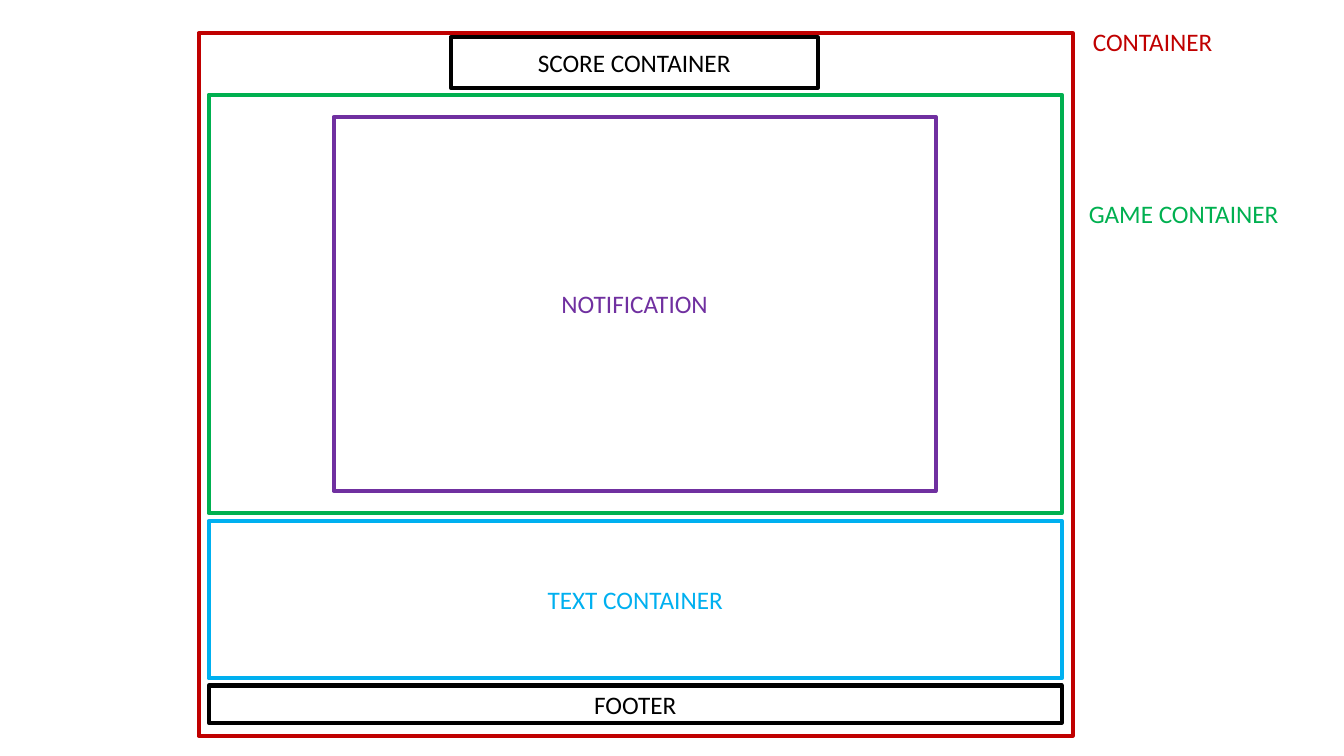
from pptx import Presentation
from pptx import util as u
from pptx.dml import color
from pptx.enum import shapes, text

WIDTH, HEIGHT = 13.33, 7.5
COLS, ROWS = 100, 100  # grid over the slide
BLACK, RED, GREEN, BLUE, PURPLE = "000000", "C00000", "00B050", "00B0F0", "7030A0"


def rgb(hex_code):
    return color.RGBColor.from_string(hex_code)


def write(frame, words, *, ink, font="Calibri", size=18,
          align=text.PP_ALIGN.CENTER, anchor=text.MSO_ANCHOR.MIDDLE, wrap=True):
    frame.word_wrap = wrap
    frame.vertical_anchor = anchor
    paragraph = frame.paragraphs[0]
    paragraph.alignment = align
    run = paragraph.add_run()
    run.text = words
    run.font.name, run.font.size = font, u.Pt(size)
    run.font.color.rgb = rgb(ink)


class Wireframe:
    """Style and current slide; lengths are grid columns and rows."""
    border = 3

    def __init__(self, slide):
        self.slide = slide

    def place(self, col, row, cols, rows):
        return (u.Inches(col * WIDTH / COLS), u.Inches(row * HEIGHT / ROWS),
                u.Inches(cols * WIDTH / COLS), u.Inches(rows * HEIGHT / ROWS))

    def region(self, area, ink, words=None):
        box = self.slide.shapes.add_shape(
            shapes.MSO_SHAPE.RECTANGLE, *self.place(*area))
        box.shadow.inherit = False
        box.fill.background()
        box.line.color.rgb = rgb(ink)
        box.line.width = u.Pt(self.border)
        if words:
            write(box.text_frame, words, ink=ink)

    def label(self, area, ink, words):
        box = self.slide.shapes.add_textbox(*self.place(*area))
        write(box.text_frame, words, ink=ink, align=text.PP_ALIGN.LEFT,
              anchor=text.MSO_ANCHOR.TOP, wrap=False)
        box.text_frame.auto_size = text.MSO_AUTO_SIZE.SHAPE_TO_FIT_TEXT


deck = Presentation()
deck.slide_width, deck.slide_height = u.Inches(WIDTH), u.Inches(HEIGHT)
page = Wireframe(deck.slides.add_slide(deck.slide_layouts[6]))

# Score bar at the top
page.region((33.53, 4.93, 27.31, 6.67), BLACK, "SCORE CONTAINER")

# Full-width bands stacked inside the page
band_left, band_width = 15.53, 63.47
bands = [
    (68.93, 20.8, BLUE, "TEXT CONTAINER"),
    (90.67, 4.93, BLACK, "FOOTER"),
    (12.53, 55.33, GREEN, None),
]
for top, height, ink, words in bands:
    page.region((band_left, top, band_width, height), ink, words)

# Page outline and the notification over the game
page.region((14.78, 4.4, 65.04, 92.93), RED)
page.region((24.83, 15.47, 44.79, 49.47), PURPLE, "NOTIFICATION")

# Labels beside the outlines
page.label((80.57, 2.8, 10.5, 5.33), RED, "CONTAINER")
page.label((80.27, 25.6, 15.75, 5.33), GREEN, "GAME CONTAINER")

deck.save("out.pptx")
